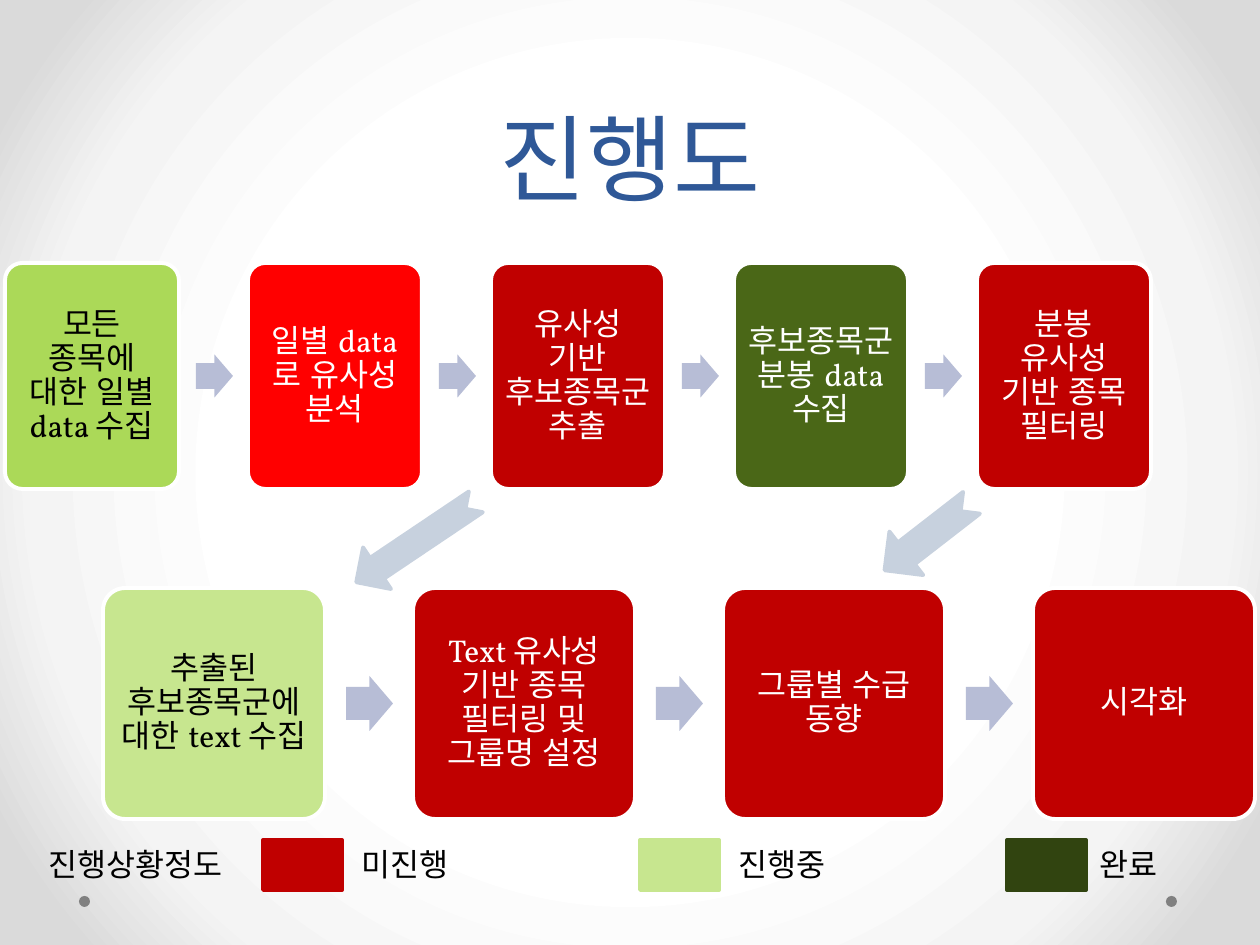
"""Build the progress slide: two rows of project steps and a status legend."""
import pptx
import pptx.util
import pptx.oxml
import pptx.oxml.ns
import pptx.dml.color
import pptx.enum.lang
import pptx.enum.shapes
import pptx.enum.text

COLORS = {
    "title": "2F5897", "black": "000000", "white": "FFFFFF", "todo": "C00000",
    "doing": "C7E68F", "started": "ABD958", "urgent": "FF0000", "done": "4A6717",
    "legend_done": "314410", "arrow": "B7BDD6", "link": "C7D1DE", "dot": "808080",
}
BACKGROUND = [(50, "FFFFFF"), (76, "F4F4F4"), (92, "DADADA")]
KOREAN, LATIN = "Noto Sans CJK KR", "Vollkorn"
TITLE = "진행도"
ROWS = [
    {"box": (103, 588, 222, 231), "step": 310, "arrow": (243, 47, 55), "steps": [
        ("추출된 후보종목군에 대한 text 수집", "doing", "black"),
        ("Text 유사성 기반 종목 필터링 및 그룹명 설정", "todo", "white"),
        ("그룹별 수급 동향", "todo", "white"),
        ("시각화", "todo", "white")]},
    {"box": (5, 263, 174, 226), "step": 243, "arrow": (191, 37, 43), "steps": [
        ("모든 종목에 대한 일별 data 수집", "started", "black"),
        ("일별 data로 유사성 분석", "urgent", "white"),
        ("유사성 기반 후보종목군 추출", "todo", "white"),
        ("후보종목군 분봉 data수집", "done", "white"),
        ("분봉 유사성 기반 종목 필터링", "todo", "white")]},
]
LINKS = [((344, 517, 144, 50), 146.1), ((873, 509, 110, 55), 142.2)]
LEGEND = "진행상황정도\t미진행\t진행중\t완료"
LEGEND_TABS = [313, 690, 1051]
SWATCHES = [(263, "todo"), (640, "doing"), (1007, "legend_done")]
DOTS = [1166, 79]

SHAPE = pptx.enum.shapes.MSO_SHAPE
ANCHOR = pptx.enum.text.MSO_ANCHOR
CENTER = pptx.enum.text.PP_ALIGN.CENTER
NS = pptx.oxml.ns.nsdecls("a")


def px(n):
    return pptx.util.Emu(round(n * 914400 / 126))


def rgb(name):
    return pptx.dml.color.RGBColor.from_string(COLORS[name])


def add_shape(s, kind, box, fill, line=None, adjustments=()):
    sp = s.shapes.add_shape(kind, *map(px, box))
    sp.shadow.inherit = False
    sp.fill.solid()
    sp.fill.fore_color.rgb = rgb(fill)
    if line:
        sp.line.color.rgb = rgb(line)
        sp.line.width = pptx.util.Pt(2.25)
    else:
        sp.line.fill.background()
    for i, value in enumerate(adjustments):
        sp.adjustments[i] = value
    return sp


def write(sp, text, size, color, latin, anchor, inset=None):
    tf = sp.text_frame
    tf.word_wrap = True
    tf.vertical_anchor = anchor
    if inset is not None:
        tf.margin_left = tf.margin_right = tf.margin_top = tf.margin_bottom = px(inset)
    p = tf.paragraphs[0]
    r = p.add_run()
    r.text = text
    r.font.size = pptx.util.Pt(size)
    r.font.color.rgb = rgb(color)
    r.font.name = latin
    r.font.language_id = pptx.enum.lang.MSO_LANGUAGE_ID.KOREAN
    r.font._element.append(pptx.oxml.parse_xml(f'<a:ea {NS} typeface="{KOREAN}"/>'))
    return p


def set_background(s):
    fill = s.background.fill
    fill.gradient()
    grad = s.background._cSld.bg.bgPr.find(pptx.oxml.ns.qn("a:gradFill"))
    stops = "".join(f'<a:gs pos="{pos * 1000}"><a:srgbClr val="{color}"/></a:gs>'
                    for pos, color in BACKGROUND)
    for child in list(grad):
        grad.remove(child)
    grad.append(pptx.oxml.parse_xml(f"<a:gsLst {NS}>{stops}</a:gsLst>"))
    grad.append(pptx.oxml.parse_xml(
        f'<a:path {NS} path="circle">'
        '<a:fillToRect l="50000" t="50000" r="50000" b="50000"/></a:path>'))


def add_row(s, row):
    left, top, width, height = row["box"]
    offset, arrow_w, arrow_h = row["arrow"]
    for i, (text, fill, color) in enumerate(row["steps"]):
        x = left + i * row["step"]
        if i:
            add_shape(s, SHAPE.RIGHT_ARROW,
                      (x - row["step"] + offset, top + (height - arrow_h) / 2, arrow_w, arrow_h),
                      "arrow", adjustments=(0.6, 0.5))
        sp = add_shape(s, SHAPE.ROUNDED_RECTANGLE, (x, top, width, height),
                       fill, "white", (0.1,))
        p = write(sp, text, 18, color, LATIN, ANCHOR.MIDDLE, 9)
        p.alignment = CENTER
        p.line_spacing = 0.9


def add_legend(s):
    sp = s.shapes.add_textbox(*map(px, (36, 839, 1190, 51)))
    p = write(sp, LEGEND, 18, "black", KOREAN, ANCHOR.TOP)
    tabs = "".join(f'<a:tab pos="{px(x)}" algn="l"/>' for x in LEGEND_TABS)
    p._p.get_or_add_pPr().append(pptx.oxml.parse_xml(f"<a:tabLst {NS}>{tabs}</a:tabLst>"))
    for x, color in SWATCHES:
        add_shape(s, SHAPE.RECTANGLE, (x, 840, 79, 50), color, color)


def main():
    prs = pptx.Presentation()
    prs.slide_width, prs.slide_height = px(1260), px(945)
    s = prs.slides.add_slide(prs.slide_layouts[6])
    set_background(s)
    for x in DOTS:
        add_shape(s, SHAPE.OVAL, (x, 896, 11, 11), "dot")
    title = s.shapes.add_textbox(*map(px, (63, 0, 1134, 220)))
    p = write(title, TITLE, 54, "title", KOREAN, ANCHOR.BOTTOM)
    p.alignment = CENTER
    p.line_spacing = pptx.util.Pt(58)
    for row in ROWS:
        add_row(s, row)
    for box, angle in LINKS:
        sp = add_shape(s, SHAPE.NOTCHED_RIGHT_ARROW, box, "link", "link")
        sp.rotation = angle
    add_legend(s)
    prs.save("out.pptx")


if __name__ == "__main__":
    main()
